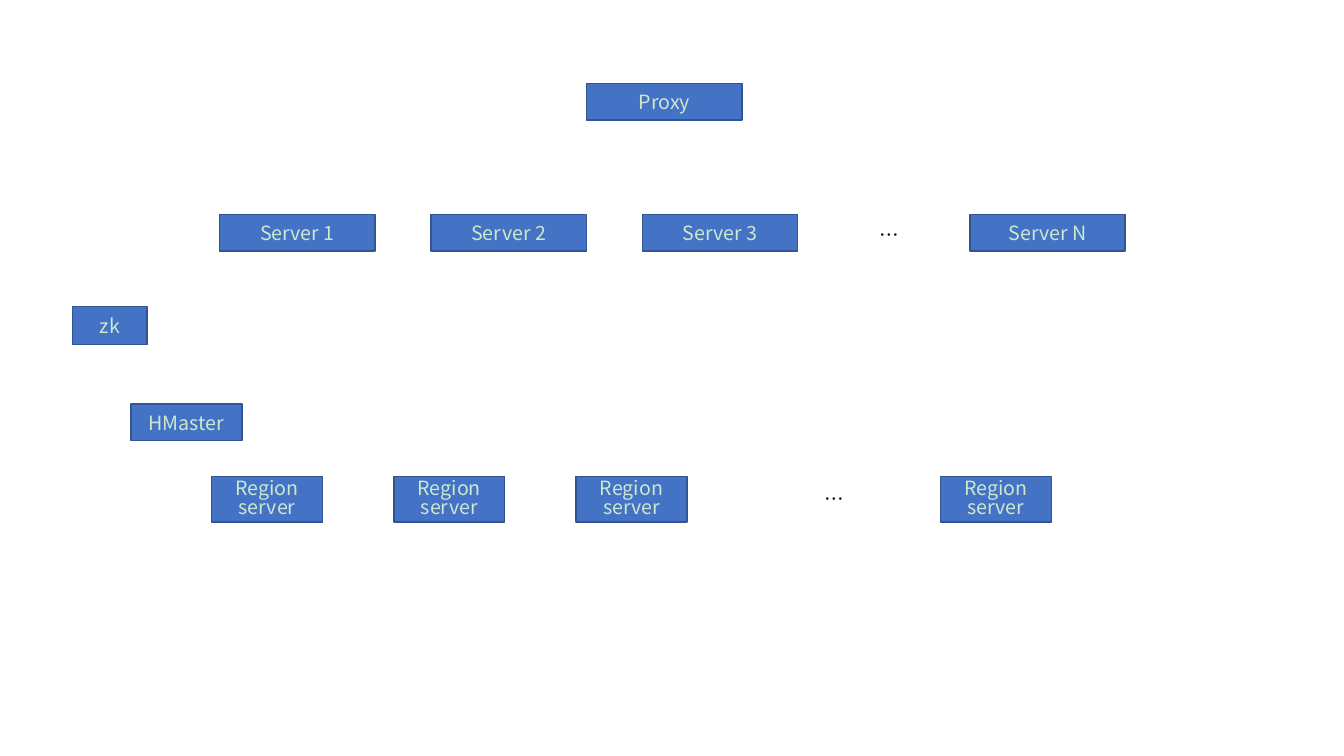
from dataclasses import dataclass

from pptx import Presentation
from pptx.dml.color import RGBColor
from pptx.enum import shapes, text
from pptx.shapes.autoshape import Shape
from pptx.slide import Slide
from pptx.util import Inches, Pt

FONT = "Noto Sans CJK SC"
WHITE = RGBColor(0xFF, 0xFF, 0xFF)
BLACK = RGBColor(0x00, 0x00, 0x00)
BLUE = RGBColor(0x44, 0x72, 0xC4)
DARK_BLUE = RGBColor(0x32, 0x54, 0x91)
PALE_GREEN = RGBColor(0xCC, 0xE8, 0xCF)


@dataclass(frozen=True)
class Node:
    """A labelled box of the cluster, measured in inches."""
    label: str
    left: float
    top: float
    width: float = 1.54
    height: float = 0.36
    line_spacing: float = 1.0


def write(shape: Shape, wording: str, *, color: RGBColor, size: float = 14,
          align: text.PP_ALIGN = text.PP_ALIGN.CENTER,
          anchor: text.MSO_ANCHOR = text.MSO_ANCHOR.MIDDLE,
          line_spacing: float = 1.0) -> None:
    """Fill a shape with text, one paragraph for each line."""
    frame = shape.text_frame
    frame.word_wrap = True
    frame.vertical_anchor = anchor
    frame.text = wording
    for paragraph in frame.paragraphs:
        paragraph.alignment = align
        paragraph.line_spacing = line_spacing
        for run in paragraph.runs:
            run.font.name = FONT
            run.font.size = Pt(size)
            run.font.color.rgb = color


def draw_node(slide: Slide, node: Node) -> None:
    """Draw one blue box with its label."""
    box = slide.shapes.add_shape(
        shapes.MSO_SHAPE.RECTANGLE, Inches(node.left), Inches(node.top),
        Inches(node.width), Inches(node.height))
    box.shadow.inherit = False
    box.fill.solid()
    box.fill.fore_color.rgb = BLUE
    box.line.color.rgb = DARK_BLUE
    box.line.width = Pt(1)
    write(box, node.label, color=PALE_GREEN, line_spacing=node.line_spacing)


def draw_ellipsis(slide: Slide, left: float, top: float) -> None:
    """Mark the servers left out of a row."""
    dots = slide.shapes.add_textbox(
        Inches(left), Inches(top), Inches(0.36), Inches(0.34))
    write(dots, "…", color=BLACK, align=text.PP_ALIGN.LEFT,
          anchor=text.MSO_ANCHOR.TOP)


SERVER_TOP, SERVER_LEFT, SERVER_PITCH = 2.13, 2.18, 2.095
REGION_TOP, REGION_LEFT, REGION_PITCH = 4.73, 2.1, 1.807
REGION_SLOTS = (0, 1, 2, 4)

proxy = Node("Proxy", 5.82, 0.83)
servers = [Node(f"Server {slot + 1}", SERVER_LEFT + slot * SERVER_PITCH, SERVER_TOP)
           for slot in range(3)]
last_server = Node("Server N", 9.62, SERVER_TOP)
coordinator = Node("zk", 0.72, 3.04, width=0.74, height=0.38)
master = Node("HMaster", 1.3, 4.01, width=1.1)
region_servers = [Node("Region\nserver", REGION_LEFT + slot * REGION_PITCH, REGION_TOP,
                       width=1.1, height=0.45, line_spacing=0.8)
                  for slot in REGION_SLOTS]

presentation = Presentation()
presentation.slide_width = Inches(13.33)
presentation.slide_height = Inches(7.5)
cluster = presentation.slides.add_slide(presentation.slide_layouts[6])
cluster.background.fill.solid()
cluster.background.fill.fore_color.rgb = WHITE

for node in (proxy, *servers, last_server, coordinator, master, *region_servers):
    draw_node(cluster, node)
draw_ellipsis(cluster, 8.62, 2.16)
draw_ellipsis(cluster, 8.08, 4.78)

presentation.save("out.pptx")
